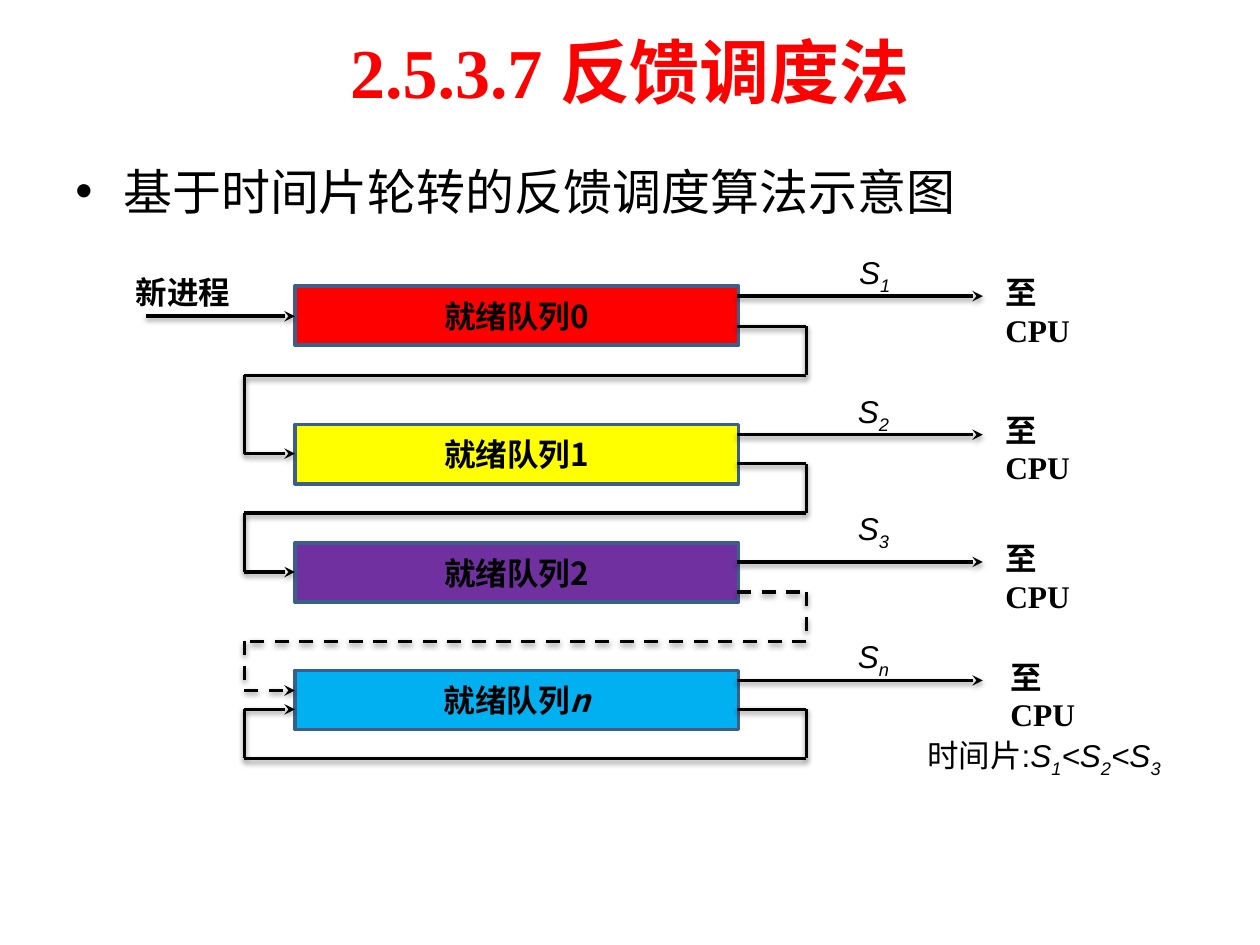
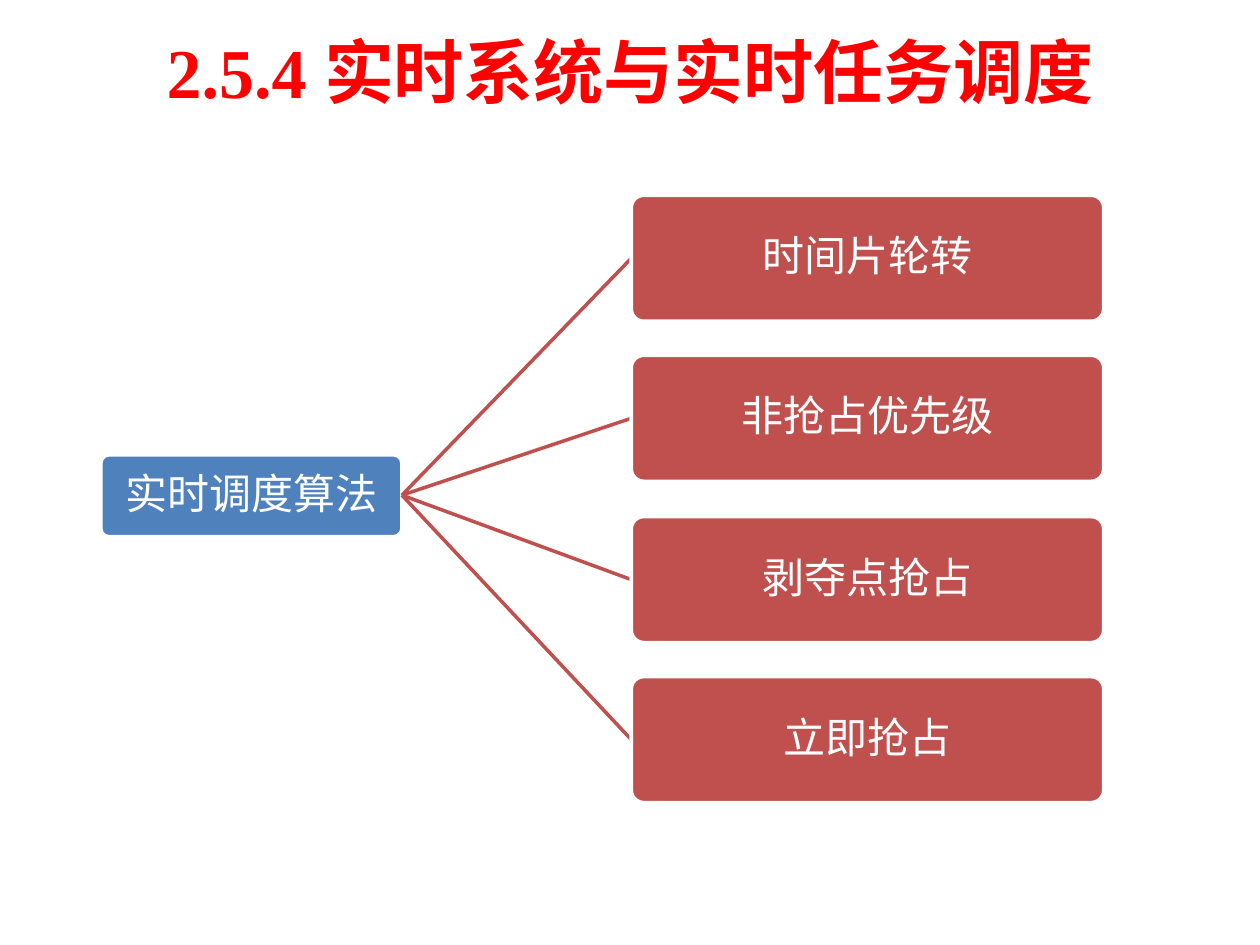
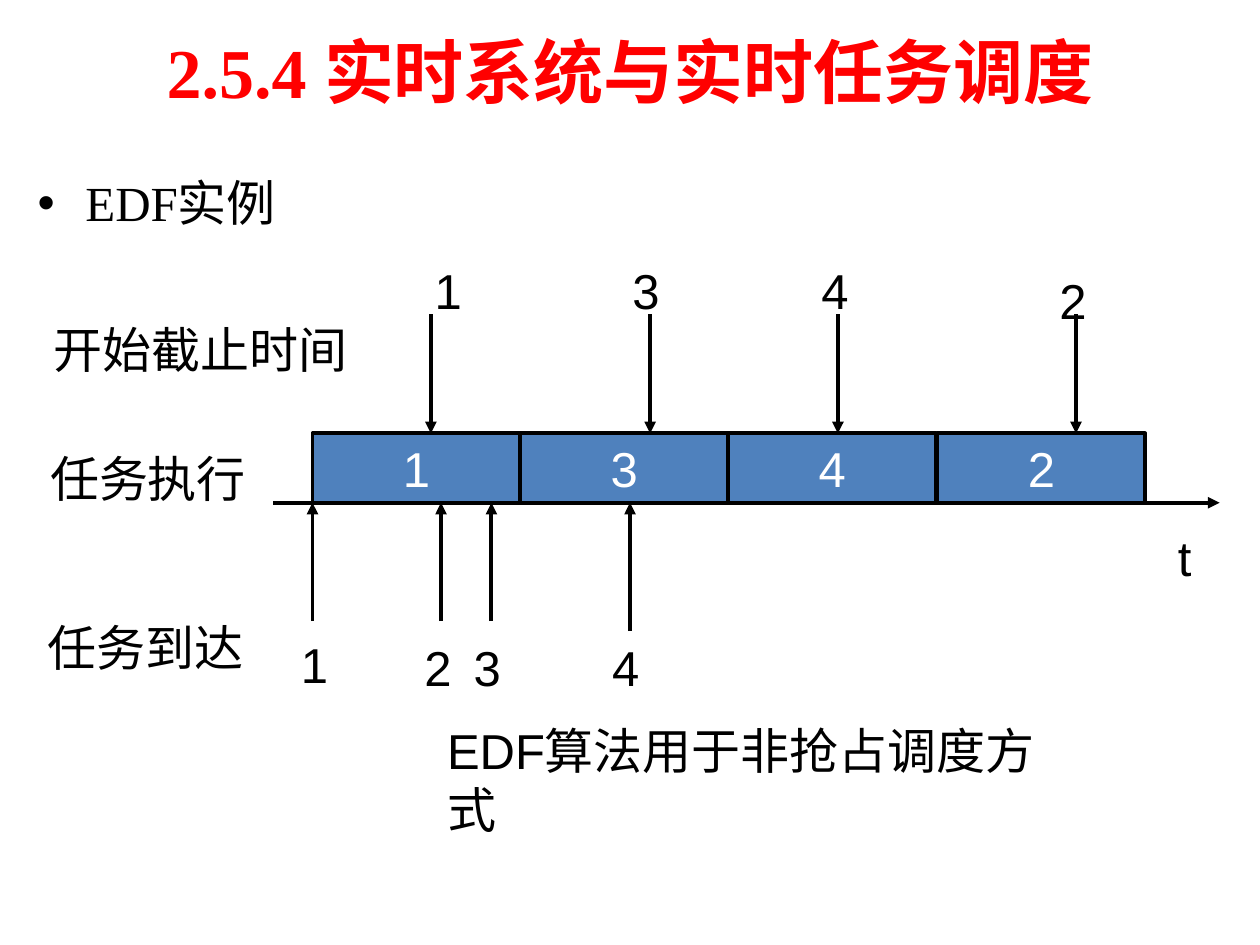
from dataclasses import dataclass
from typing import Any, NamedTuple

from lxml import etree
from pptx import Presentation
from pptx.dml.color import RGBColor
from pptx.enum.dml import MSO_LINE
from pptx.enum.shapes import MSO_CONNECTOR, MSO_SHAPE
from pptx.enum.text import MSO_ANCHOR, PP_ALIGN
from pptx.oxml.ns import qn
from pptx.util import Emu, Pt

EMU_PER_PX = 9144  # 100 px to the inch
STRAIGHT = MSO_CONNECTOR.STRAIGHT
RECTANGLE, ROUNDED = MSO_SHAPE.RECTANGLE, MSO_SHAPE.ROUNDED_RECTANGLE
DASH = MSO_LINE.DASH
TOP, MIDDLE = MSO_ANCHOR.TOP, MSO_ANCHOR.MIDDLE
LEFT, CENTER, JUSTIFY = PP_ALIGN.LEFT, PP_ALIGN.CENTER, PP_ALIGN.JUSTIFY

BLACK, WHITE, RED = "000000", "FFFFFF", "FF0000"
BLUE, BRICK, QUEUE_EDGE = "4F81BD", "C0504D", "3A5F8C"
SERIF, SANS, CHINESE, BODY = "Times New Roman", "Arial", "Noto Sans CJK SC", "Calibri"


class Style(NamedTuple):
    font: str
    size: int
    color: str = BLACK
    bold: bool = False


class Span(NamedTuple):
    text: str
    style: Style
    italic: bool = False
    lowered: bool = False


class Frame(NamedTuple):
    left: int
    top: int
    width: int
    height: int


class Point(NamedTuple):
    x: int
    y: int


class Stroke(NamedTuple):
    color: str = BLACK
    width: float = 2.0
    dashed: bool = False
    shadow: bool = False


@dataclass(frozen=True)
class Queue:
    number: str
    fill: str
    top: int
    exit_y: int
    out_y: int
    lane_y: int
    entry_y: int
    slice_left: int
    slice_top: int
    cpu_left: int
    cpu_top: int
    dashed: bool = False


@dataclass(frozen=True)
class Task:
    number: str
    x: int
    far_y: int
    label_left: int
    label_top: int


TITLE = Style(SERIF, 40, RED, True)
BULLET = Style(SERIF, 28)
QUEUE = Style(CHINESE, 18, BLACK, True)
CPU = Style(SERIF, 18, BLACK, True)
NOTE = Style(CHINESE, 18)
SYMBOL = Style(SANS, 18)
NODE = Style(BODY, 24, WHITE)
LABEL = Style(SANS, 28)
CELL = Style(SANS, 28, WHITE)
FLOW = Stroke(shadow=True)
FLOW_DASHED = Stroke(shadow=True, dashed=True)
AXIS = Stroke(width=2.25)

QUEUE_LEFT, QUEUE_WIDTH, QUEUE_HEIGHT = 234, 352, 47
QUEUE_RIGHT, LOOP_LEFT, LOOP_RIGHT, EXIT_END = 585, 194, 640, 780
QUEUES = [
    Queue("0", RED, 227, 235, 259, 298, 360, 672, 196, 788, 212),
    Queue("1", "FFFF00", 337, 345, 368, 407, 454, 671, 306, 788, 321),
    Queue("2", "7030A0", 431, 446, 470, 509, 548, 671, 399, 788, 423, dashed=True),
    Queue("n", "00B0F0", 532, 540, 563, 602, 563, 671, 501, 792, 517),
]

ALGORITHMS = ["时间片轮转", "非抢占优先级", "剥夺点抢占", "立即抢占"]
ROOT = Frame(80, 361, 239, 65)
LEAF = Frame(501, 155, 375, 100)
LEAF_PITCH = 382 / 3

EXECUTION = ["1", "3", "4", "2"]
BAR_LEFT, BAR_TOP, BAR_WIDTH, AXIS_Y = 248, 344, 661, 399
DEADLINES = [
    Task("1", 342, 249, 335, 202),
    Task("3", 516, 249, 492, 202),
    Task("4", 665, 249, 642, 202),
    Task("2", 854, 249, 831, 210),
]
ARRIVALS = [
    Task("1", 248, 493, 229, 499),
    Task("2", 350, 493, 327, 501),
    Task("3", 390, 493, 366, 501),
    Task("4", 500, 501, 476, 501),
]


def px(length: int) -> Emu:
    return Emu(length * EMU_PER_PX)


def rgb(color: str) -> RGBColor:
    return RGBColor.from_string(color)


def apply_format(target: Any, values: dict[str, Any]) -> None:
    for name, value in values.items():
        setattr(target, name, value)


def add_node(parent: Any, tag: str, **attributes: str) -> Any:
    return etree.SubElement(parent, qn(tag), attributes)


def write(box: Any, spans: list[Span], align: Any = LEFT, anchor: Any = TOP,
          spacing: float | None = None, inset: int | None = None) -> Any:
    """Fill a shape with one paragraph and return the paragraph."""
    frame = box.text_frame
    apply_format(frame, {"word_wrap": True, "vertical_anchor": anchor})
    if inset is not None:
        sides = ("left", "right", "top", "bottom")
        apply_format(frame, {f"margin_{side}": px(inset) for side in sides})
    para = frame.paragraphs[0]
    apply_format(para, {"alignment": align, "line_spacing": spacing})
    for text, style, italic, lowered in spans:
        span = para.add_run()
        span.text = text
        apply_format(span.font, {"name": style.font, "size": Pt(style.size),
                                 "bold": style.bold, "italic": italic})
        span.font.color.rgb = rgb(style.color)
        properties = span._r.get_or_add_rPr()
        add_node(properties, "a:ea", typeface=CHINESE)
        if lowered:
            properties.set("baseline", "-25000")
    return para


def add_text(page: Any, frame: Frame, spans: list[Span], **layout: Any) -> Any:
    box = page.shapes.add_textbox(*map(px, frame))
    return write(box, spans, **layout)


def add_label(page: Any, frame: Frame, text: str, style: Style = LABEL) -> None:
    add_text(page, frame, [Span(text, style)])


def add_box(page: Any, kind: Any, frame: Frame, fill: str, stroke: Stroke,
            spans: list[Span], **layout: Any) -> Any:
    box = page.shapes.add_shape(kind, *map(px, frame))
    box.shadow.inherit = False
    box.fill.solid()
    box.fill.fore_color.rgb = rgb(fill)
    box.line.color.rgb = rgb(stroke.color)
    box.line.width = Pt(stroke.width)
    write(box, spans, align=CENTER, anchor=MIDDLE, **layout)
    return box


def add_line(page: Any, start: Point, end: Point, stroke: Stroke,
             head: str = "", tail: str = "") -> None:
    """Draw a line; head and tail name the arrowheads at start and end."""
    line = page.shapes.add_connector(STRAIGHT, *map(px, (*start, *end)))
    line.line.color.rgb = rgb(stroke.color)
    line.line.width = Pt(stroke.width)
    if stroke.dashed:
        line.line.dash_style = DASH
    outline = line.line._get_or_add_ln()
    for tag, arrow in (("a:headEnd", head), ("a:tailEnd", tail)):
        if arrow:
            add_node(outline, tag, type=arrow)
    effects = add_node(line._element.spPr, "a:effectLst")
    if stroke.shadow:
        shadow = add_node(effects, "a:outerShdw", blurRad=str(Pt(3.1)),
                          dist=str(Pt(1.6)), dir="5400000", rotWithShape="0")
        color = add_node(shadow, "a:srgbClr", val=BLACK)
        add_node(color, "a:alpha", val="38000")


def add_path(page: Any, points: list[Point], stroke: Stroke, tail: str) -> None:
    """Draw joined lines with an arrowhead on the last one."""
    last = len(points) - 2
    for index, (start, end) in enumerate(zip(points, points[1:])):
        add_line(page, start, end, stroke, tail=tail if index == last else "")


def add_page(deck: Any, title: str) -> Any:
    page = deck.slides.add_slide(deck.slide_layouts[6])
    add_text(page, Frame(50, 5, 900, 102), [Span(title, TITLE)],
             align=CENTER, anchor=MIDDLE)
    return page


def add_bullet(page: Any, frame: Frame, text: str, **layout: Any) -> None:
    para = add_text(page, frame, [Span(text, BULLET)], **layout)
    properties = para._p.get_or_add_pPr()
    properties.set("marL", str(px(38)))
    properties.set("indent", str(px(-38)))
    add_node(properties, "a:buFont", typeface=SANS)
    add_node(properties, "a:buChar", char="•")


def build_feedback_page(deck: Any) -> None:
    page = add_page(deck, "2.5.3.7 反馈调度法")
    add_bullet(page, Frame(50, 123, 900, 495),
               "基于时间片轮转的反馈调度算法示意图", align=JUSTIFY)
    for queue in QUEUES:
        add_box(page, RECTANGLE, Frame(QUEUE_LEFT, queue.top, QUEUE_WIDTH, QUEUE_HEIGHT),
                queue.fill, Stroke(QUEUE_EDGE),
                [Span("就绪队列", QUEUE),
                 Span(queue.number, QUEUE, italic=queue.number == "n")])
    add_line(page, Point(116, 251), Point(QUEUE_LEFT, 251), FLOW, tail="stealth")
    for queue in QUEUES:
        add_line(page, Point(QUEUE_RIGHT, queue.exit_y), Point(EXIT_END, queue.exit_y),
                 FLOW, tail="stealth")
        loop = [Point(QUEUE_RIGHT, queue.out_y), Point(LOOP_RIGHT, queue.out_y),
                Point(LOOP_RIGHT, queue.lane_y), Point(LOOP_LEFT, queue.lane_y),
                Point(LOOP_LEFT, queue.entry_y), Point(QUEUE_LEFT, queue.entry_y)]
        add_path(page, loop, FLOW_DASHED if queue.dashed else FLOW, "stealth")
    for order, queue in enumerate(QUEUES, 1):
        add_label(page, Frame(queue.cpu_left, queue.cpu_top, 95, 40), "至CPU", CPU)
        subscript = "n" if queue.number == "n" else str(order)
        add_text(page, Frame(queue.slice_left, queue.slice_top, 50, 40),
                 [Span("S", SYMBOL, True), Span(subscript, SYMBOL, True, True)])
    add_label(page, Frame(98, 212, 100, 40), "新进程", QUEUE)
    comparison = [Span("时间片", NOTE), Span(":", SYMBOL)]
    for symbol, subscript in (("S", "1"), ("<S", "2"), ("<S", "3")):
        comparison += [Span(symbol, SYMBOL, True), Span(subscript, SYMBOL, True, True)]
    add_text(page, Frame(726, 579, 205, 40), comparison)


def add_tree_node(page: Any, frame: Frame, fill: str, text: str) -> None:
    box = add_box(page, ROUNDED, frame, fill, Stroke(WHITE), [Span(text, NODE)],
                  spacing=0.9, inset=4)
    box.adjustments[0] = 0.1


def build_algorithm_page(deck: Any) -> None:
    page = add_page(deck, "2.5.4 实时系统与实时任务调度")
    add_tree_node(page, ROOT, BLUE, "实时调度算法")
    root_end = Point(ROOT.left + ROOT.width, ROOT.top + ROOT.height // 2)
    for index, name in enumerate(ALGORITHMS):
        leaf = LEAF._replace(top=round(LEAF.top + index * LEAF_PITCH))
        add_line(page, root_end, Point(leaf.left, leaf.top + leaf.height // 2), Stroke(BRICK))
        add_tree_node(page, leaf, BRICK, name)


def build_deadline_page(deck: Any) -> None:
    page = add_page(deck, "2.5.4 实时系统与实时任务调度")
    add_bullet(page, Frame(20, 123, 945, 495), "EDF实例", spacing=1.2)
    add_line(page, Point(217, AXIS_Y), Point(968, AXIS_Y), AXIS, tail="triangle")
    cell_width = BAR_WIDTH / len(EXECUTION)
    for index, number in enumerate(EXECUTION):
        cell = Frame(round(BAR_LEFT + index * cell_width), BAR_TOP,
                     round(cell_width), AXIS_Y - BAR_TOP)
        add_box(page, RECTANGLE, cell, BLUE, AXIS, [Span(number, CELL)])
    for task in DEADLINES:
        add_line(page, Point(task.x, BAR_TOP), Point(task.x, task.far_y), AXIS, head="triangle")
    for task in ARRIVALS:
        add_line(page, Point(task.x, task.far_y), Point(task.x, AXIS_Y), AXIS, tail="triangle")
    for task in DEADLINES + ARRIVALS:
        add_label(page, Frame(task.label_left, task.label_top, 38, 57), task.number)
    add_label(page, Frame(925, 414, 38, 57), "t")
    add_label(page, Frame(33, 249, 256, 57), "开始截止时间")
    add_label(page, Frame(28, 485, 177, 57), "任务到达")
    add_label(page, Frame(30, 351, 177, 57), "任务执行")
    add_label(page, Frame(345, 567, 522, 57), "EDF算法用于非抢占调度方式")


def main() -> None:
    deck = Presentation()
    apply_format(deck, {"slide_width": px(1000), "slide_height": px(750)})
    build_feedback_page(deck)
    build_algorithm_page(deck)
    build_deadline_page(deck)
    deck.save("out.pptx")


if __name__ == "__main__":
    main()
